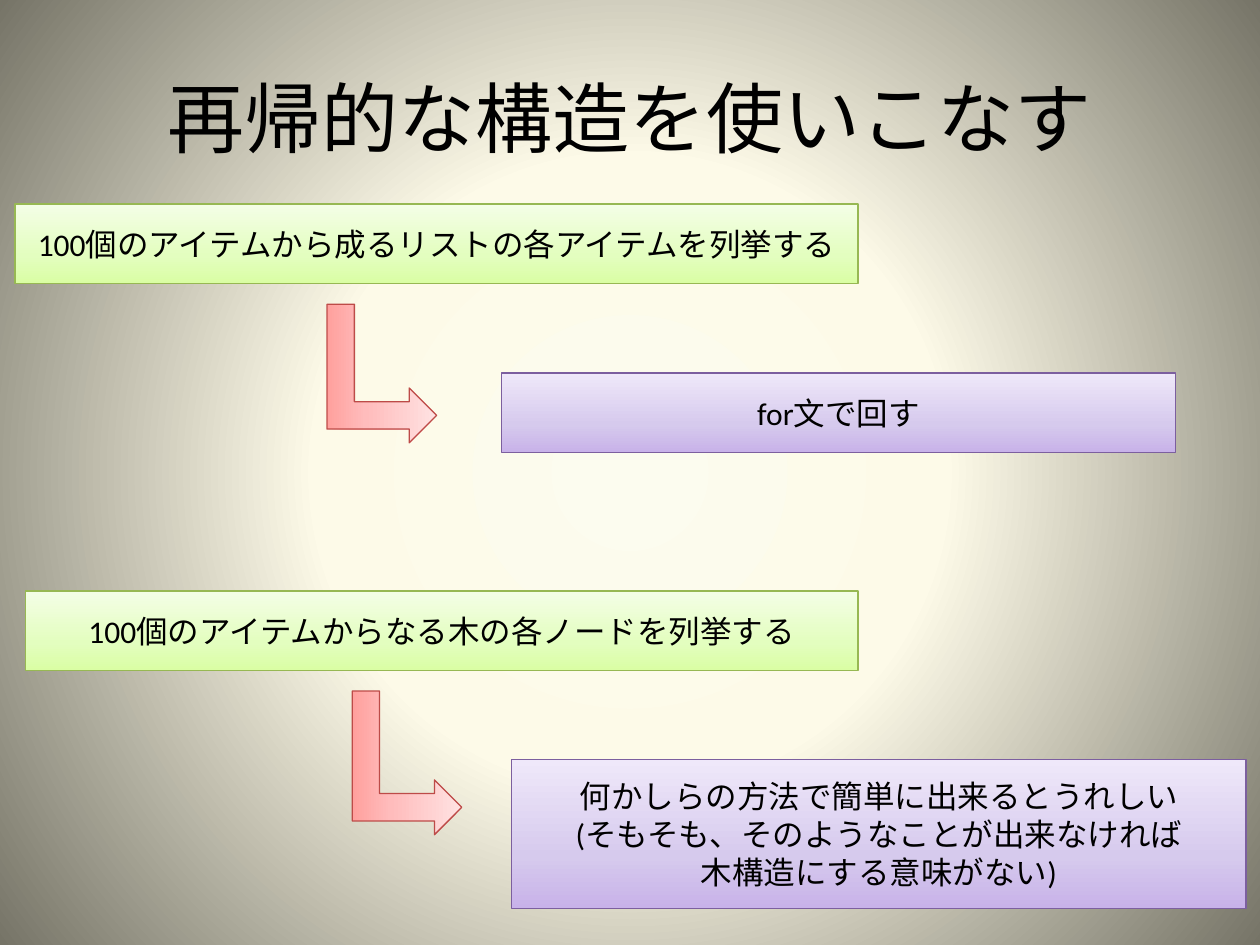
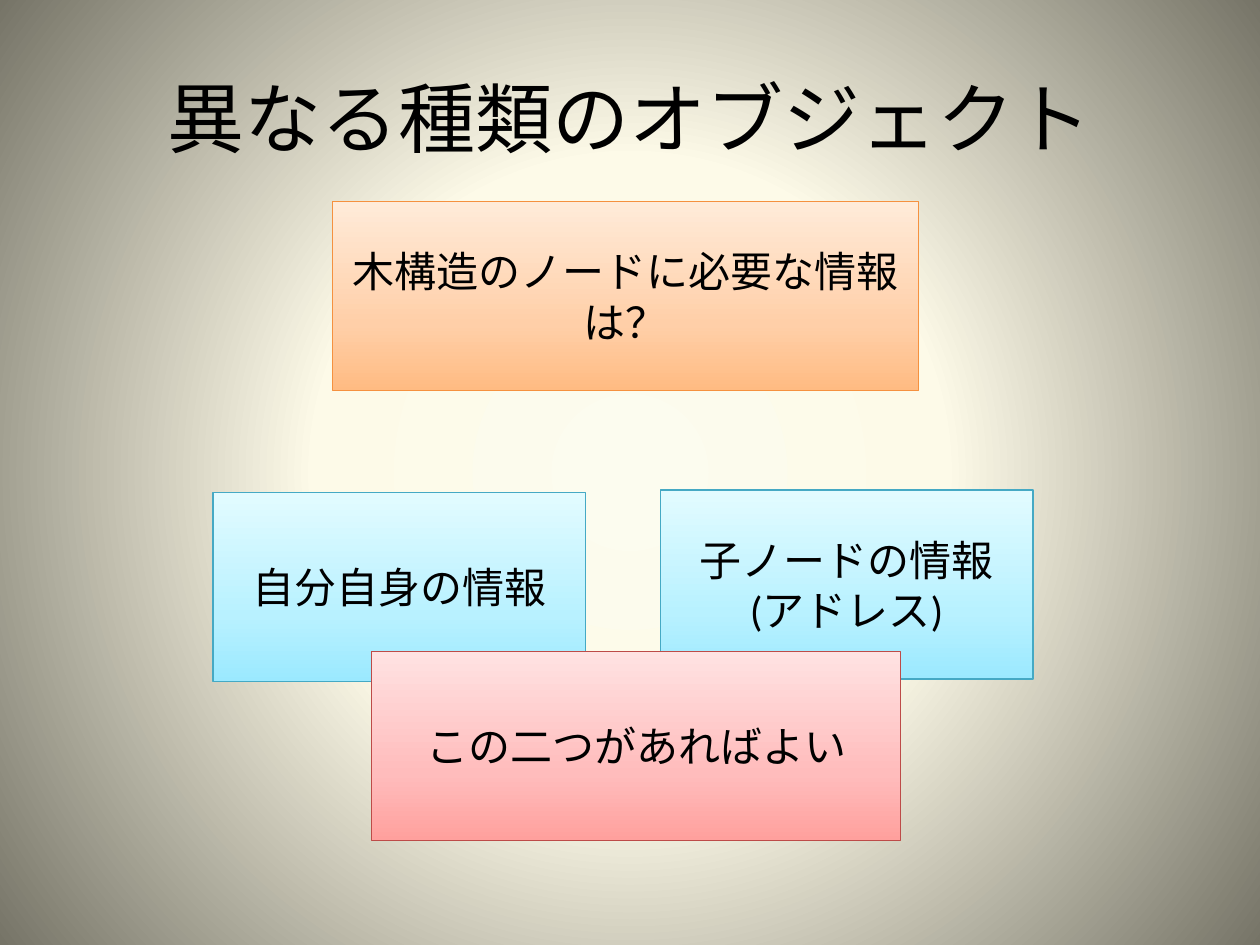
"""Build two slides on recursive structures and the nodes of a tree."""

from dataclasses import dataclass, field

from lxml.etree import SubElement
from pptx import Presentation
from pptx.dml.color import RGBColor
from pptx.enum.shapes import MSO_SHAPE
from pptx.enum.text import MSO_ANCHOR, PP_ALIGN
from pptx.oxml.ns import qn
from pptx.util import Emu, Pt

SCALE = 9144


@dataclass(frozen=True)
class Tone:
    """Hold the gradient stops and the line colour of a shape."""

    stops: dict[int, str]
    line: str


def tone(low: str, mid: str, high: str, line: str) -> Tone:
    """Return a tone with the stops that all shapes share."""
    return Tone({0: low, 35: mid, 100: high}, line)


@dataclass(frozen=True)
class Theme:
    """Hold the colours, font and type sizes of the deck."""

    green: Tone = tone("DAFEA4", "E3FEBF", "F4FEE6", "97B853")
    violet: Tone = tone("C8B2E9", "D6CAED", "EFE8FA", "7C5F9F")
    red: Tone = tone("FFA09D", "FFBCBC", "FFE2E2", "BD4B48")
    orange: Tone = tone("FFBB82", "FFCFA8", "FFEBD9", "F5913F")
    blue: Tone = tone("9BE9FF", "B8F1FF", "E2FBFF", "45A9C4")
    back: dict[int, str] = field(
        default_factory=lambda: {0: "FCFCEF", 40: "FDFAE8", 100: "767467"}
    )
    ink: str = "000000"
    font: str = "Calibri"
    head: int = 44
    large: int = 24
    small: int = 18
    stroke: float = 0.75


THEME = Theme()


@dataclass(frozen=True)
class Box:
    """Describe a text box with a tone, its place in px and its lines."""

    tone: Tone
    place: tuple[int, int, int, int]
    lines: tuple[str, ...]
    size: int


@dataclass(frozen=True)
class Arrow:
    """Describe a bent arrow by its place in px before the turn."""

    place: tuple[int, int, int, int]


@dataclass(frozen=True)
class Page:
    """Describe a slide by its title and its items from back to front."""

    title: str
    items: tuple[Box | Arrow, ...]


def px(*values: int) -> list[Emu]:
    """Turn px lengths into EMU."""
    return [Emu(value * SCALE) for value in values]


def shade(owner, fill, stops: dict[int, str], round_: bool = False) -> None:
    """Fill a shape or master with a gradient, upward or round."""
    fill.gradient()
    grad = owner.element.find(".//" + qn("a:gradFill"))
    grad.clear()
    grad.set("rotWithShape", "1")
    group = SubElement(grad, qn("a:gsLst"))
    for spot, colour in stops.items():
        stop = SubElement(group, qn("a:gs"), pos=str(spot * 1000))
        SubElement(stop, qn("a:srgbClr"), val=colour)
    if round_:
        way = SubElement(grad, qn("a:path"))
        way.set("path", "circle")
        sides = dict.fromkeys("ltrb", "50000")
        SubElement(way, qn("a:fillToRect"), **sides)
    else:
        SubElement(grad, qn("a:lin"), ang="16200000", scaled="1")


def write(frame, *lines: str, size: int, colour: str = THEME.ink,
          font: str = THEME.font, align: PP_ALIGN = PP_ALIGN.CENTER) -> None:
    """Write lines as paragraphs with one format."""
    frame.word_wrap = True
    frame.vertical_anchor = MSO_ANCHOR.MIDDLE
    for index, line in enumerate(lines):
        para = frame.add_paragraph() if index else frame.paragraphs[0]
        para.alignment = align
        run = para.add_run()
        run.text = line
        run.font.size = Pt(size)
        run.font.name = font
        run.font.color.rgb = RGBColor.from_string(colour)


def form(slide, kind: MSO_SHAPE, place: tuple[int, int, int, int], look: Tone):
    """Add a preset shape in the given tone."""
    shape = slide.shapes.add_shape(kind, *px(*place))
    shape.shadow.inherit = False
    shade(shape, shape.fill, look.stops)
    shape.line.color.rgb = RGBColor.from_string(look.line)
    shape.line.width = Pt(THEME.stroke)
    return shape


def draw(slide, item: Box | Arrow) -> None:
    """Draw a box or an arrow."""
    if isinstance(item, Box):
        shape = form(slide, MSO_SHAPE.RECTANGLE, item.place, item.tone)
        write(shape.text_frame, *item.lines, size=item.size)
    else:
        shape = form(slide, MSO_SHAPE.BENT_UP_ARROW, item.place, THEME.red)
        shape.rotation = 90


def build(deck, page: Page) -> None:
    """Add a slide with its title and items."""
    slide = deck.slides.add_slide(deck.slide_layouts.get_by_name("Title Only"))
    title = slide.shapes.title
    title.left, title.top, title.width, title.height = px(50, 30, 900, 125)
    write(title.text_frame, page.title, size=THEME.head)
    for item in page.items:
        draw(slide, item)


PAGES = (
    Page("再帰的な構造を使いこなす", (
        Box(THEME.green, (12, 162, 669, 63),
            ("100個のアイテムから成るリストの各アイテムを列挙する",), THEME.small),
        Box(THEME.violet, (398, 296, 535, 63), ("for文で回す",), THEME.small),
        Box(THEME.green, (20, 469, 661, 63),
            ("100個のアイテムからなる木の各ノードを列挙する",), THEME.small),
        Box(THEME.violet, (406, 603, 583, 118),
            ("何かしらの方法で簡単に出来るとうれしい",
             "(そもそも、そのようなことが出来なければ",
             "木構造にする意味がない)"), THEME.small),
        Arrow((248, 253, 110, 87)),
        Arrow((266, 562, 114, 87)),
    )),
    Page("異なる種類のオブジェクト", (
        Box(THEME.orange, (264, 160, 465, 150),
            ("木構造のノードに必要な情報は？",), THEME.large),
        Box(THEME.blue, (169, 391, 296, 150), ("自分自身の情報",), THEME.large),
        Box(THEME.blue, (524, 389, 296, 150),
            ("子ノードの情報", "(アドレス)"), THEME.large),
        Box(THEME.red, (295, 517, 420, 150),
            ("この二つがあればよい",), THEME.large),
    )),
)


def main() -> None:
    """Build and save the deck."""
    deck = Presentation()
    deck.slide_width, deck.slide_height = px(1000, 750)
    base = deck.slide_master
    shade(base, base.background.fill, THEME.back, round_=True)
    for page in PAGES:
        build(deck, page)
    deck.save("out.pptx")


if __name__ == "__main__":
    main()
